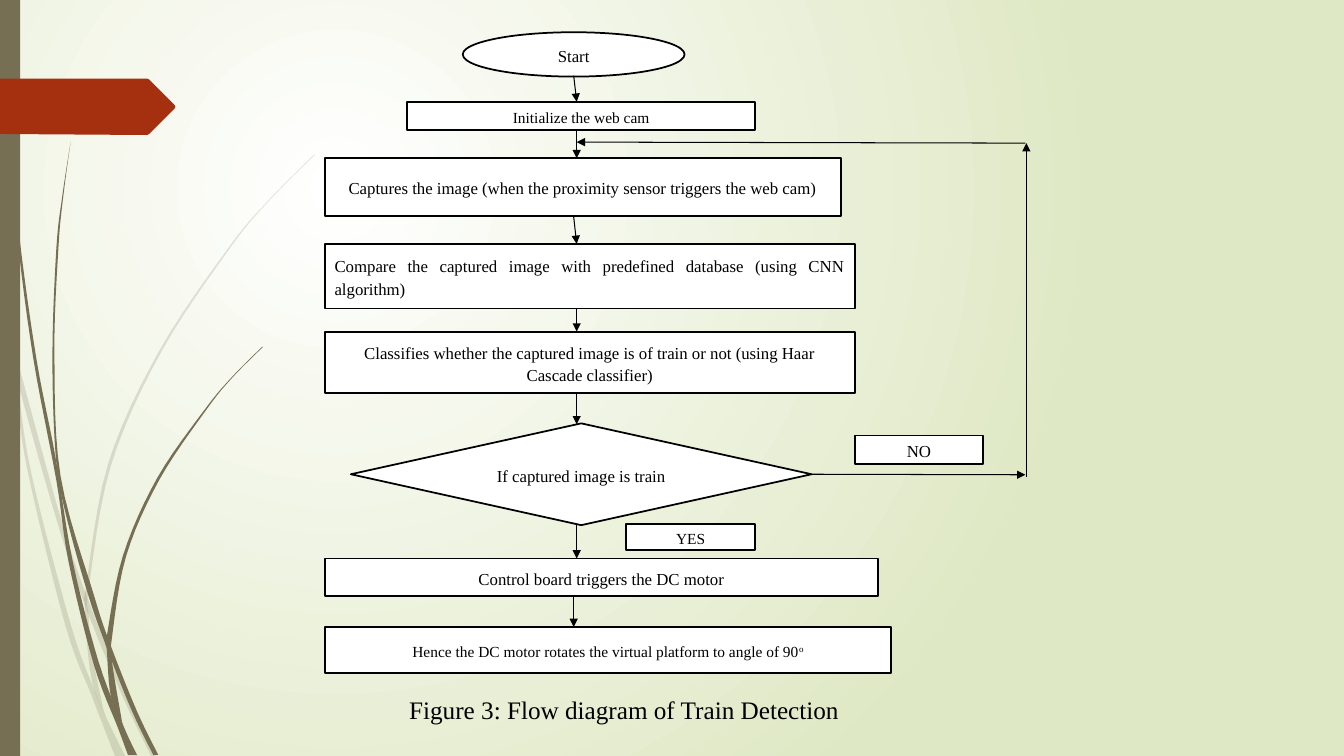
from lxml import etree
from pptx import Presentation
from pptx import util as u
from pptx.dml.color import RGBColor
from pptx.enum import shapes, text
from pptx.oxml.ns import qn

COLOURS = {"ink": "000000", "paper": "FFFFFF", "mist": "DFE8C4",
           "stem": "766F54", "banner": "A53010"}
FONT = "Times New Roman"
CENTRE, JUSTIFY = text.PP_ALIGN.CENTER, text.PP_ALIGN.JUSTIFY
BOX = shapes.MSO_SHAPE.RECTANGLE
OVAL = shapes.MSO_SHAPE.OVAL
DIAMOND = shapes.MSO_SHAPE.DIAMOND

# Each grass blade: one edge from end to end, then the other edge back (inches).
PALE_BLADES = [
    ([(0, 2.99), (.1, 3.44), (.16, 3.9), (.28, 4.7), (.65, 6.21), (.92, 6.93), (1.14, 7.5)],
     [(1.24, 7.5), (1.05, 7.11), (.93, 6.83), (.7, 6.19), (.31, 4.69), (.17, 3.76),
      (.09, 3.22), (0, 2.82)]),
    ([(.14, 3.45), (.17, 3.76), (.58, 5.22), (.88, 6.1), (1.23, 6.94), (1.5, 7.5)],
     [(1.55, 7.5), (1.27, 6.92), (.92, 6.07), (.62, 5.2), (.14, 3.45)]),
    ([(1.05, 7.11), (.93, 6.83), (.87, 6.46), (.84, 5.99), (.85, 5.84), (1.07, 4.61),
      (1.58, 3.48), (2.28, 2.44), (2.68, 1.97), (3.12, 1.53)],
     [(3.12, 1.54), (2.68, 1.98), (2.29, 2.45), (1.6, 3.49), (1.1, 4.62), (.88, 5.84),
      (.88, 6.1), (.91, 6.46), (1.03, 7.06)]),
]
DARK_BLADES = [
    ([(.03, 0), (.07, 1.1), (.17, 2.33), (.33, 3.55), (.56, 4.77), (.68, 5.57),
      (.93, 6.59), (1.17, 7.22), (1.27, 7.49)],
     [(1.36, 7.49), (1.22, 7.19), (.98, 6.57), (.72, 5.56), (.55, 4.53), (.36, 3.55),
      (.19, 2.32), (.08, 1.09), (.04, 0)]),
    ([(.7, 1.41), (.62, 1.93), (.56, 2.45), (.52, 3.49), (.55, 4.49), (.64, 5.05),
      (.88, 5.92), (1.11, 6.56), (1.32, 7.08), (1.52, 7.49)],
     [(1.57, 7.49), (1.36, 7.06), (1.1, 6.41), (.93, 5.9), (.6, 4.72), (.54, 3.49),
      (.58, 2.45), (.63, 1.93), (.7, 1.41)]),
    ([(1.22, 7.19), (1.1, 6.91), (1.06, 6.45), (1.06, 6.31), (1.22, 5.51), (1.56, 4.74),
      (2.04, 4.05), (2.31, 3.73), (2.6, 3.44)],
     [(2.61, 3.44), (2.31, 3.74), (2.05, 4.06), (1.58, 4.76), (1.25, 5.52), (1.11, 6.33),
      (1.11, 6.56), (1.21, 7.16)]),
]
BANNER = [(0, .78), (1.46, .78), (1.48, .79), (1.73, 1.04), (1.74, 1.06), (1.73, 1.08),
          (1.48, 1.33), (1.46, 1.34), (0, 1.33)]

STEPS = [
    (OVAL, (4.59, .32, 2.2, .44), "Start", 12, CENTRE),
    (BOX, (4.04, 1.01, 3.45, .28), "Initialize the web cam", 11, CENTRE),
    (BOX, (3.22, 1.57, 5.12, .57),
     "Captures the image (when the proximity sensor triggers the web cam)", 12, CENTRE),
    (BOX, (3.22, 2.42, 5.26, .64),
     "Compare the captured image with predefined database (using CNN algorithm)", 12, JUSTIFY),
    (BOX, (3.22, 3.29, 5.26, .61),
     "Classifies whether the captured image is of train or not (using Haar Cascade classifier)",
     12, CENTRE),
    (BOX, (3.22, 5.54, 5.49, .37), "Control board triggers the DC motor", 12, CENTRE),
    (BOX, (8.48, 4.32, 1.27, .28), "NO", 12, CENTRE),
    (BOX, (6.21, 5.2, 1.28, .26), "YES", 11, CENTRE),
]
DOWN_ARROWS = [(5.69, .75, 5.72, 1.01), (5.72, 1.29, 5.72, 1.57), (5.69, 2.15, 5.72, 2.42),
               (5.72, 3.06, 5.72, 3.29), (5.72, 3.9, 5.72, 4.21), (5.72, 5.2, 5.72, 5.54),
               (5.69, 5.92, 5.69, 6.22)]
RETURN_ARROWS = [(10.18, 4.73, 10.18, 1.42), (10.17, 1.42, 5.72, 1.41)]


def inch(length):
    return u.Cm(2.54 * length)


def smooth(points, steps=6):
    """Return a Catmull-Rom curve through the points."""
    padded = [points[0], *points, points[-1]]
    curve = [points[0]]
    for a, b, c, d in zip(padded, padded[1:], padded[2:], padded[3:]):
        for step in range(1, steps + 1):
            t = step / steps
            curve.append(tuple(
                b[i] + t / 2 * (c[i] - a[i] + t * (2 * a[i] - 5 * b[i] + 4 * c[i] - d[i]
                                + t * (3 * b[i] - a[i] - 3 * c[i] + d[i])))
                for i in (0, 1)))
    return curve


class FlowSlide:
    """Holds the slide and the look shared by its elements."""

    def __init__(self, slide):
        self.slide = slide

    def colour(self, name):
        return RGBColor.from_string(COLOURS[name])

    def background(self):
        fill = self.slide.background.fill
        fill.gradient()
        for stop, position, name in zip(fill.gradient_stops, (0, 1), ("paper", "mist")):
            stop.position = position
            stop.color.rgb = self.colour(name)
        gradient = self.slide.element.find(".//" + qn("a:gradFill"))
        gradient.remove(gradient.find(qn("a:lin")))
        circle = etree.SubElement(gradient, qn("a:path"), path="circle")
        etree.SubElement(circle, qn("a:fillToRect"),
                         l="50000", t="50000", r="100000", b="100000")

    def paint(self, shape, fill, alpha=None):
        shape.shadow.inherit = False
        shape.fill.solid()
        shape.fill.fore_color.rgb = self.colour(fill)
        shape.line.fill.background()
        if alpha:
            rgb = shape.fill._xPr.find(".//" + qn("a:srgbClr"))
            etree.SubElement(rgb, qn("a:alpha"), val=str(alpha * 1000))

    def outline(self, points, fill, alpha=None):
        corners = [(inch(x), inch(y)) for x, y in points]
        builder = self.slide.shapes.build_freeform(*corners[0])
        builder.add_line_segments(corners[1:], close=True)
        self.paint(builder.convert_to_shape(), fill, alpha)

    def bar(self, place, fill):
        self.paint(self.slide.shapes.add_shape(BOX, *map(inch, place)), fill)

    def format_text(self, paragraph, size, align):
        paragraph.alignment = align
        for run in paragraph.runs:
            run.font.name = FONT
            run.font.size = u.Pt(size)
            run.font.color.rgb = self.colour("ink")

    def step(self, kind, place, words, size, align, superscript=None):
        node = self.slide.shapes.add_shape(kind, *map(inch, place))
        self.paint(node, "paper")
        node.line.color.rgb = self.colour("ink")
        node.line.width = u.Pt(1.25)
        node.text_frame.word_wrap = True
        node.text_frame.vertical_anchor = text.MSO_ANCHOR.MIDDLE
        paragraph = node.text_frame.paragraphs[0]
        paragraph.text = words
        paragraph.line_spacing = 1.13
        if superscript:
            raised = paragraph.add_run()
            raised.text = superscript
            raised._r.get_or_add_rPr().set("baseline", "30000")
        self.format_text(paragraph, size, align)
        return node

    def arrow(self, ends):
        link = self.slide.shapes.add_connector(shapes.MSO_CONNECTOR.STRAIGHT, *map(inch, ends))
        link.line.color.rgb = self.colour("ink")
        link.line.width = u.Pt(.75)
        etree.SubElement(link.line._get_or_add_ln(), qn("a:tailEnd"), type="triangle")
        etree.SubElement(link._element.spPr, qn("a:effectLst"))
        return link

    def caption(self, place, words):
        title = self.slide.shapes.title
        title.left, title.top, title.width, title.height = map(inch, place)
        frame = title.text_frame
        frame.text = words
        frame.word_wrap = False
        frame.auto_size = text.MSO_AUTO_SIZE.SHAPE_TO_FIT_TEXT
        frame.vertical_anchor = text.MSO_ANCHOR.TOP
        self.format_text(frame.paragraphs[0], 18, CENTRE)


def main():
    deck = Presentation()
    deck.slide_width, deck.slide_height = inch(13.33), inch(7.5)
    flow = FlowSlide(deck.slides.add_slide(deck.slide_layouts[5]))
    flow.background()
    for blades, alpha in ((PALE_BLADES, 20), (DARK_BLADES, None)):
        for there, back in blades:
            flow.outline(smooth(there) + smooth(back), "stem", alpha)
    flow.bar((0, 0, .2, 7.5), "stem")
    flow.outline(BANNER, "banner")

    for step in STEPS:
        flow.step(*step)
    decision = flow.step(DIAMOND, (3.48, 4.2, 4.57, 1.01), "If captured image is train", 12, CENTRE)
    flow.step(BOX, (3.22, 6.22, 5.62, .46),
              "Hence the DC motor rotates the virtual platform to angle of 90", 11, CENTRE, "o")
    for ends in DOWN_ARROWS + RETURN_ARROWS:
        flow.arrow(ends)
    flow.arrow((8.05, 4.7, 10.17, 4.71)).begin_connect(decision, 3)
    flow.caption((3.86, 6.84, 4.66, .4), "Figure 3: Flow diagram of Train Detection")
    deck.save("out.pptx")


if __name__ == "__main__":
    main()
